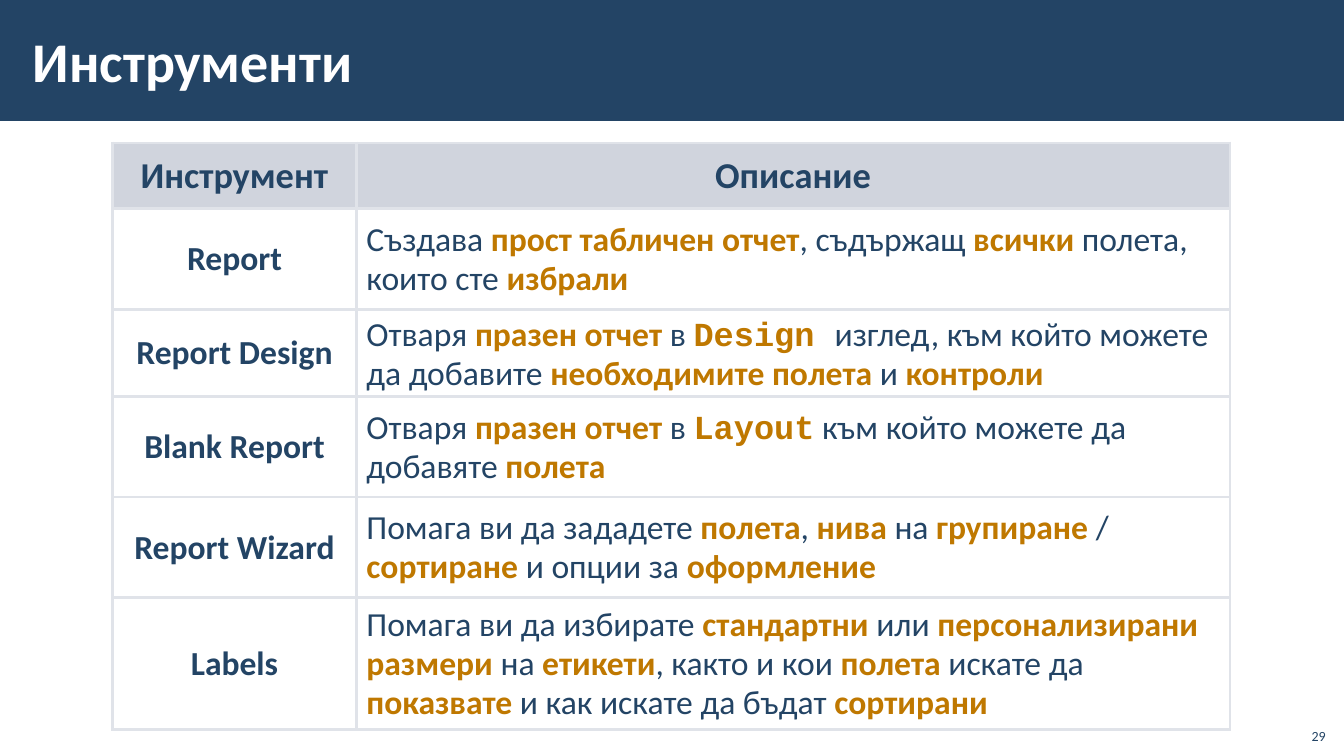
from lxml import etree
from pptx import Presentation
from pptx.dml.color import RGBColor
from pptx.enum.shapes import MSO_SHAPE
from pptx.enum.text import MSO_ANCHOR, PP_ALIGN
from pptx.oxml.ns import qn
from pptx.util import Cm, Pt

RECTANGLE = MSO_SHAPE.RECTANGLE
MIDDLE, BOTTOM = MSO_ANCHOR.MIDDLE, MSO_ANCHOR.BOTTOM
LEFT, CENTER, RIGHT = PP_ALIGN.LEFT, PP_ALIGN.CENTER, PP_ALIGN.RIGHT
NAVY = RGBColor(0x23, 0x44, 0x65)
AMBER = RGBColor(0xBF, 0x78, 0x00)
WHITE = RGBColor(0xFF, 0xFF, 0xFF)
HEADER_GRAY = RGBColor(0xA3, 0xAB, 0xBC)
BORDER = "E0E3E9"
BODY_FONT, CODE_FONT = "Calibri", "Courier New"

CODE_WORDS = ("Design ", "Layout")
TOOLS = [
    ("Инструмент", "Описание"),
    ("Report", "Създава *прост табличен отчет*, съдържащ *всички* полета, които сте *избрали*"),
    ("Report Design", "Отваря *празен отчет* в *Design *изглед, към който можете да добавите "
                      "*необходимите полета* и *контроли*"),
    ("Blank Report", "Отваря *празен отчет* в *Layout* към който можете да добавяте *полета*"),
    ("Report Wizard", "Помага ви да зададете *полета*, *нива* на *групиране */ *сортиране* "
                      "и опции за *оформление*"),
    ("Labels", "Помага ви да избирате *стандартни* или *персонализирани размери* на *етикети*, "
               "както и кои *полета* искате да *показвате* и как искате да бъдат *сортирани*"),
]
COLUMN_WIDTHS = (6.14, 22.02)
ROW_HEIGHTS = (1.66, 2.54, 1.75, 2.54, 2.54, 3.32)


def style_font(font, size, color, bold, name=BODY_FONT):
    font.name = name
    font.size = Pt(size)
    font.bold = bold
    font.color.rgb = color


def add_borders(cell):
    properties = cell._tc.get_or_add_tcPr()
    for index, side in enumerate(("a:lnL", "a:lnR", "a:lnT", "a:lnB")):
        line = etree.Element(qn(side), w=str(Pt(2.25)))
        fill = etree.SubElement(line, qn("a:solidFill"))
        etree.SubElement(fill, qn("a:srgbClr"), val=BORDER)
        properties.insert(index, line)


prs = Presentation()
prs.slide_width, prs.slide_height = Cm(33.87), Cm(19.05)
slide = prs.slides.add_slide(prs.slide_layouts[6])

banner = slide.shapes.add_shape(RECTANGLE, 0, 0, prs.slide_width, Cm(3.05))
banner.shadow.inherit = False
banner.fill.solid()
banner.fill.fore_color.rgb = NAVY
banner.line.fill.background()

title = slide.shapes.add_textbox(Cm(0.53), Cm(0.28), Cm(28.52), Cm(2.46)).text_frame
title.word_wrap = True
title.vertical_anchor = MIDDLE
title.margin_left = title.margin_right = Cm(0.3)
title.margin_top = title.margin_bottom = Cm(0.1)
title.text = "Инструменти"
style_font(title.paragraphs[0].font, 40, WHITE, True)

tools = slide.shapes.add_table(len(TOOLS), 2, Cm(2.84), Cm(3.6),
                               Cm(sum(COLUMN_WIDTHS)), Cm(sum(ROW_HEIGHTS))).table
for column, width in zip(tools.columns, COLUMN_WIDTHS):
    column.width = Cm(width)
for row, height in zip(tools.rows, ROW_HEIGHTS):
    row.height = Cm(height)

for r, entry in enumerate(TOOLS):
    for c, text in enumerate(entry):
        cell = tools.cell(r, c)
        cell.vertical_anchor = MIDDLE
        if r == 0:
            cell.fill.solid()
            cell.fill.fore_color.rgb = HEADER_GRAY
            tint = cell._tc.tcPr.find(".//" + qn("a:srgbClr"))
            etree.SubElement(tint, qn("a:alpha"), val="50000")
        else:
            cell.fill.background()
        add_borders(cell)

        paragraph = cell.text_frame.paragraphs[0]
        paragraph.line_spacing = 0.95
        is_label = r == 0 or c == 0
        paragraph.alignment = CENTER if is_label else LEFT
        if is_label:
            paragraph.text = text
            style_font(paragraph.font, 26 if r == 0 else 24, NAVY, True)
            continue
        for i, part in enumerate(text.split("*")):
            if part:
                run = paragraph.add_run()
                run.text = part
                highlighted = i % 2 == 1
                style_font(run.font, 24, AMBER if highlighted else NAVY, highlighted,
                           CODE_FONT if part in CODE_WORDS else BODY_FONT)

page_number = slide.shapes.add_textbox(Cm(32.64), Cm(18.08), Cm(1.02), Cm(0.81)).text_frame
page_number.word_wrap = True
page_number.vertical_anchor = BOTTOM
page_number.text = "29"
page_number.paragraphs[0].alignment = RIGHT
style_font(page_number.paragraphs[0].font, 10, NAVY, False)

prs.save("out.pptx")
